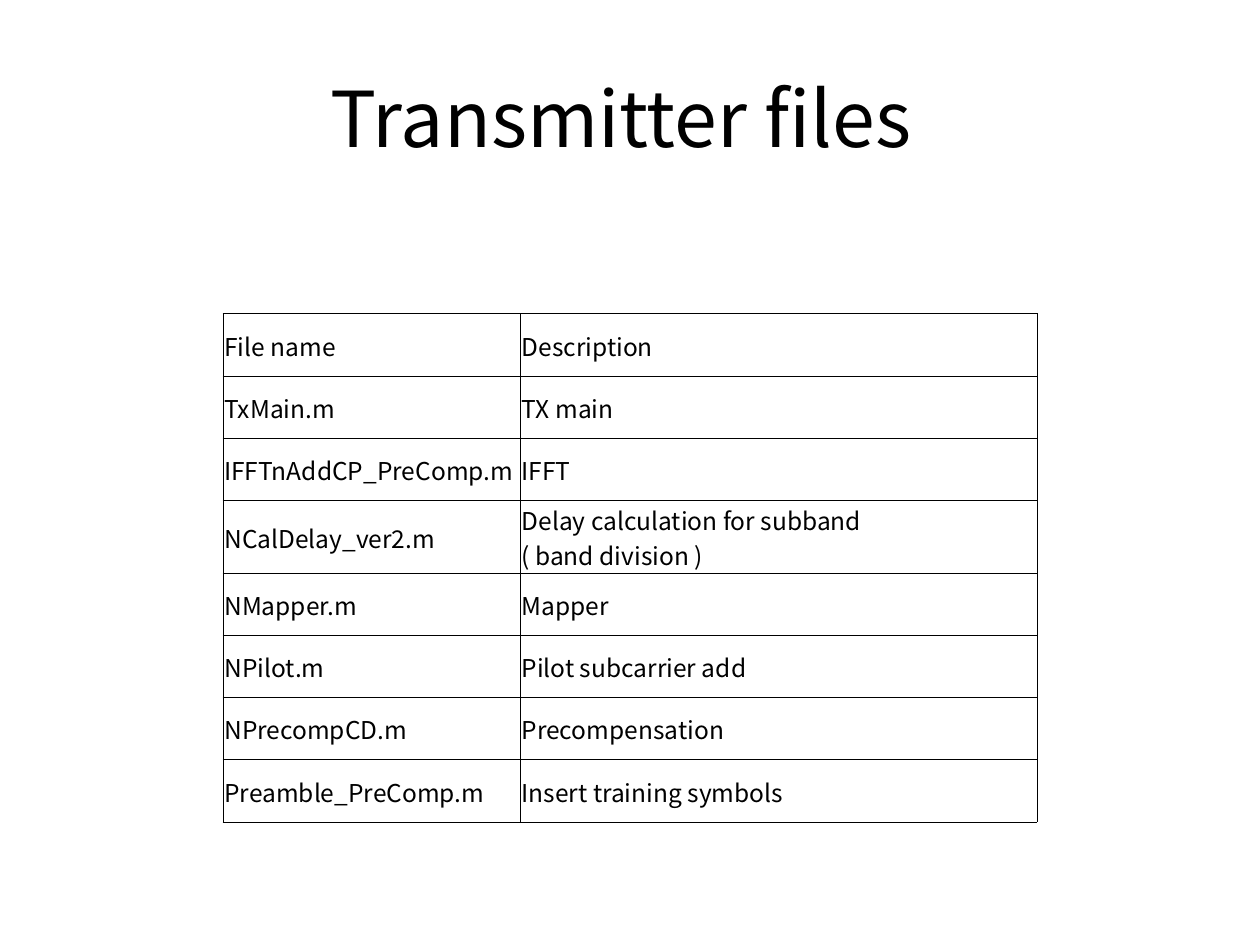
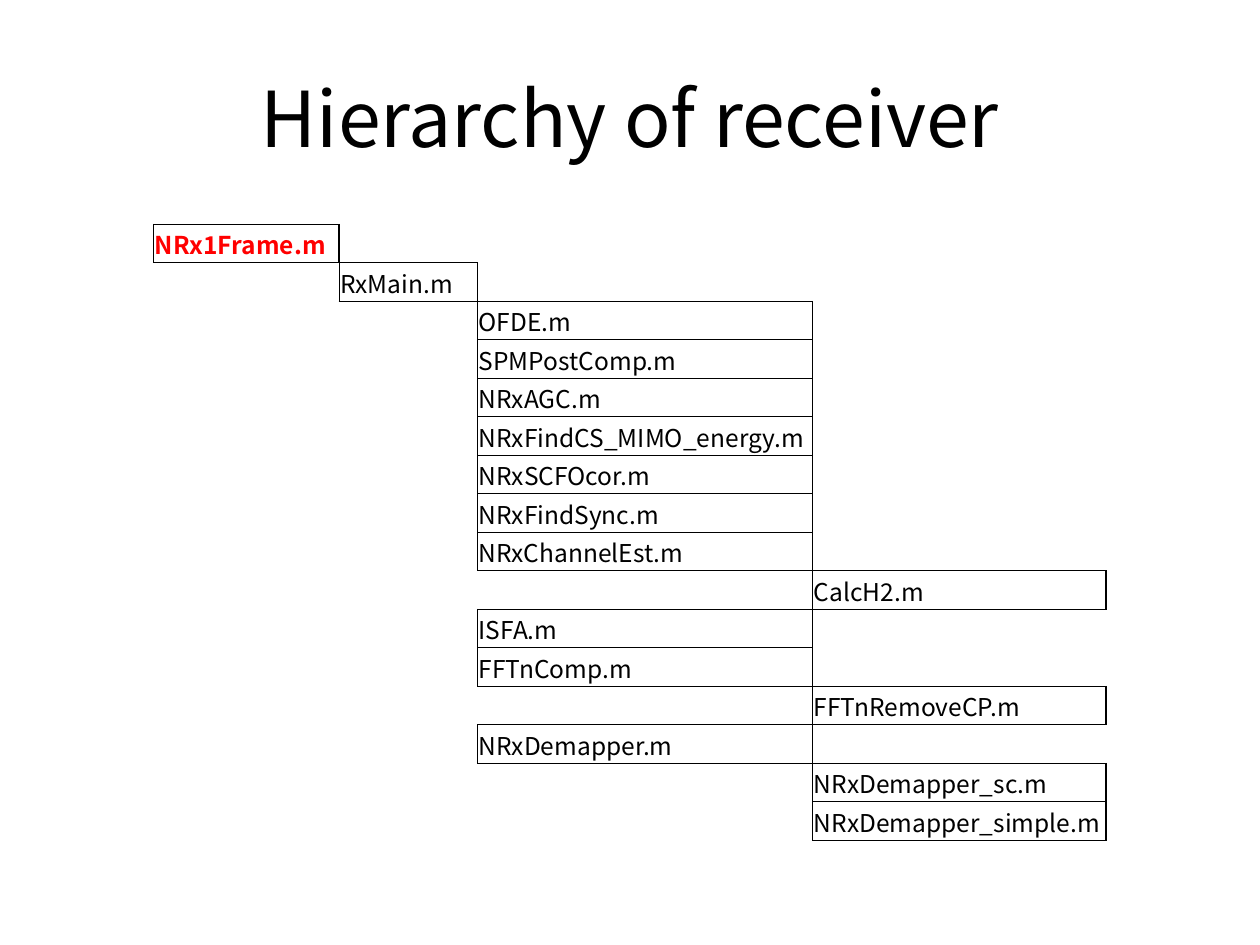
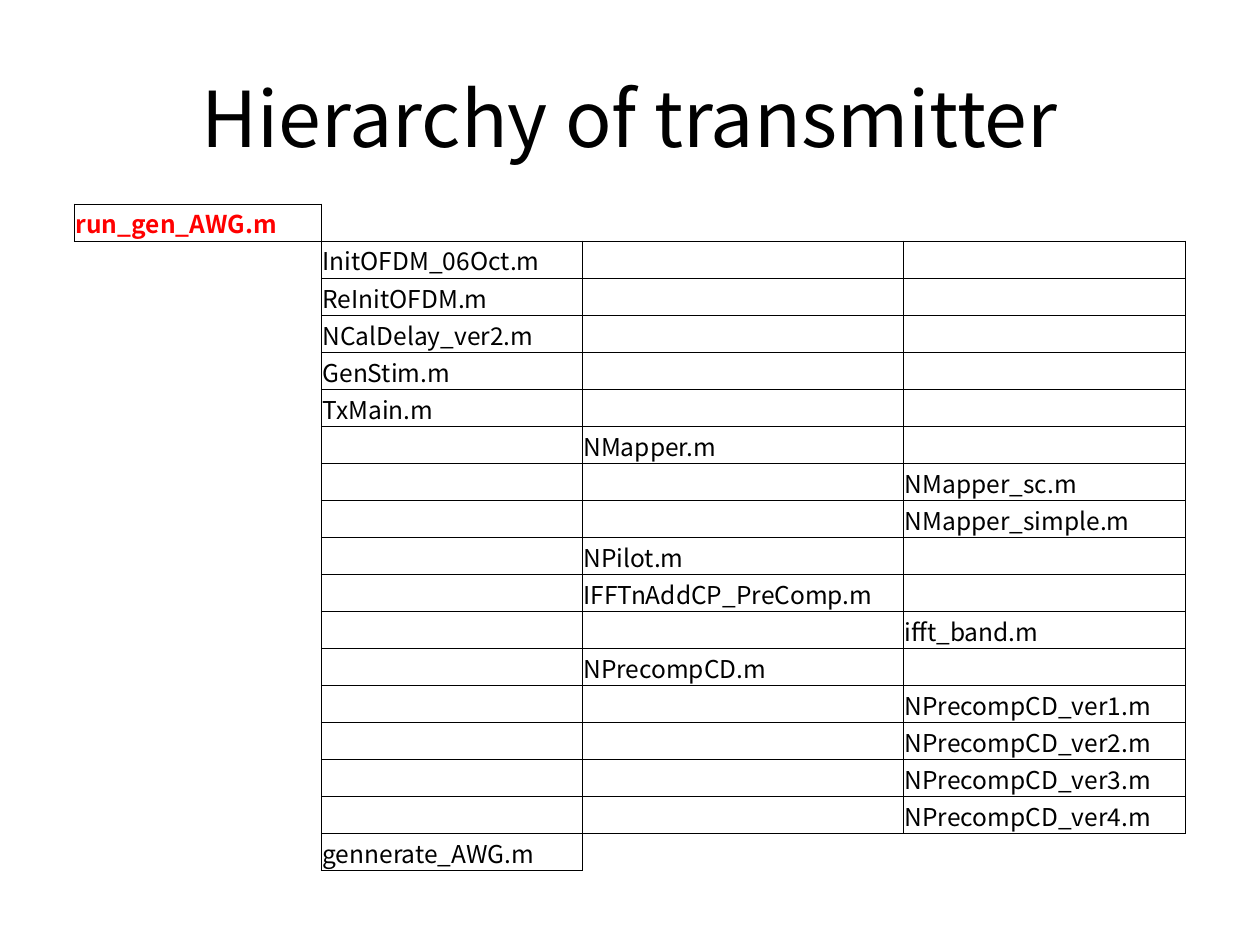
from dataclasses import dataclass

from lxml.etree import SubElement
from pptx import Presentation
from pptx.dml.color import RGBColor
from pptx.enum.text import MSO_ANCHOR as Anchor, PP_ALIGN as Align
from pptx.oxml.ns import qn
from pptx.slide import Slide
from pptx.table import _Cell as Cell
from pptx.text.text import _Paragraph as Paragraph
from pptx.util import Inches, Pt

COLORS = {"text": "000000", "border": "000000", "root": "FF0000"}
FONT = "Noto Sans CJK KR"
TITLE_SIZE, CELL_SIZE = 44, 14
SLIDE_WIDTH, SLIDE_HEIGHT = Inches(10), Inches(7.5)
TITLE_ONLY_LAYOUT = 5
THIN = 0.5
INSET = Inches(0.01)


@dataclass(frozen=True)
class Entry:
    """A file and its depth in the call hierarchy."""

    level: int
    file: str


@dataclass(frozen=True)
class FileTable:
    """A titled table, with its measures as shares of the slide's size."""

    title: str
    top: float
    height: float
    columns: tuple[float, ...]
    rows: list[list[str]]
    boxed: set[tuple[int, int]]
    right_border: float = THIN
    has_root: bool = False


def indent(entries: list[Entry], depth: int) -> list[list[str]]:
    """Place each file in the column of its level."""
    return [[e.file if e.level == column else "" for column in range(depth)] for e in entries]


def named_cells(rows: list[list[str]]) -> set[tuple[int, int]]:
    """Return the positions of the cells that hold text."""
    return {(r, c) for r, row in enumerate(rows) for c, text in enumerate(row) if text}


def level_entries(level: int, files: str) -> list[Entry]:
    """Make entries of one level from file names parted by spaces."""
    return [Entry(level, file) for file in files.split()]


def format_paragraph(paragraph: Paragraph, size: float, color: str, bold: bool = False) -> None:
    """Set the font of a whole paragraph."""
    font = paragraph.font
    font.name, font.size, font.bold = FONT, Pt(size), bold
    font.color.rgb = RGBColor.from_string(COLORS[color])


def add_title(slide: Slide, text: str) -> None:
    """Fill and place the title placeholder."""
    title = slide.shapes.title
    title.left, title.top = int(SLIDE_WIDTH * 0.05), int(SLIDE_HEIGHT * 0.04)
    title.width, title.height = int(SLIDE_WIDTH * 0.9), Inches(1.25)
    frame = title.text_frame
    frame.text = text
    frame.vertical_anchor = Anchor.MIDDLE
    frame.paragraphs[0].alignment = Align.CENTER
    format_paragraph(frame.paragraphs[0], TITLE_SIZE, "text")


def set_border(cell: Cell, side: str, width: float) -> None:
    """Draw one side of a cell, or clear it when the width is zero."""
    line = SubElement(cell._tc.get_or_add_tcPr(), qn(f"a:ln{side}"), w=str(Pt(width)))
    if not width:
        SubElement(line, qn("a:noFill"))
        return
    fill = SubElement(line, qn("a:solidFill"))
    SubElement(fill, qn("a:srgbClr"), val=COLORS["border"])


def edge_widths(content: FileTable, row: int, column: int) -> dict[str, float]:
    """Find the border widths of a cell from its own box and its neighbours'."""

    def is_boxed(down: int, across: int) -> bool:
        return (row + down, column + across) in content.boxed

    def upright(across: int) -> float:
        if is_boxed(0, across - 1):
            return content.right_border
        return THIN if is_boxed(0, across) else 0

    def level(down: int) -> float:
        return THIN if is_boxed(down - 1, 0) or is_boxed(down, 0) else 0

    return {"L": upright(0), "R": upright(1), "T": level(0), "B": level(1)}


def fill_cell(cell: Cell, text: str, color: str, bold: bool) -> None:
    """Write and format the text of a cell."""
    cell.fill.background()
    cell.vertical_anchor = Anchor.MIDDLE
    cell.margin_left = cell.margin_top = cell.margin_right = INSET
    cell.margin_bottom = 0
    cell.text = text
    for paragraph in cell.text_frame.paragraphs:
        format_paragraph(paragraph, CELL_SIZE, color, bold)
        if not text:
            SubElement(paragraph._p, qn("a:endParaRPr"), sz=str(CELL_SIZE * 100))


def add_file_table(slide: Slide, content: FileTable) -> None:
    """Draw a table centred across the slide."""
    widths = [int(SLIDE_WIDTH * share) for share in content.columns]
    height = int(SLIDE_HEIGHT * content.height)
    table = slide.shapes.add_table(
        len(content.rows), len(widths), (SLIDE_WIDTH - sum(widths)) // 2,
        int(SLIDE_HEIGHT * content.top), sum(widths), height,
    ).table
    table.first_row = table.horz_banding = False
    for column, width in zip(table.columns, widths):
        column.width = width
    for r, row in enumerate(content.rows):
        for c, text in enumerate(row):
            cell = table.cell(r, c)
            for side, width in edge_widths(content, r, c).items():
                set_border(cell, side, width)
            is_root = content.has_root and (r, c) == (0, 0)
            fill_cell(cell, text, "root" if is_root else "text", is_root)


TRANSMITTER_FILES = [
    ["File name", "Description"],
    ["TxMain.m", "TX main"],
    ["IFFTnAddCP_PreComp.m", "IFFT"],
    ["NCalDelay_ver2.m", "Delay calculation for subband\n( band division )"],
    ["NMapper.m", "Mapper"],
    ["NPilot.m", "Pilot subcarrier add"],
    ["NPrecompCD.m", "Precompensation"],
    ["Preamble_PreComp.m", "Insert training symbols"],
]

RECEIVER = indent([
    Entry(0, "NRx1Frame.m"),
    Entry(1, "RxMain.m"),
    *level_entries(2, "OFDE.m SPMPostComp.m NRxAGC.m NRxFindCS_MIMO_energy.m "
                      "NRxSCFOcor.m NRxFindSync.m NRxChannelEst.m"),
    Entry(3, "CalcH2.m"),
    *level_entries(2, "ISFA.m FFTnComp.m"),
    Entry(3, "FFTnRemoveCP.m"),
    Entry(2, "NRxDemapper.m"),
    *level_entries(3, "NRxDemapper_sc.m NRxDemapper_simple.m"),
], depth=4)

TRANSMITTER = indent([
    Entry(0, "run_gen_AWG.m"),
    *level_entries(1, "InitOFDM_06Oct.m ReInitOFDM.m NCalDelay_ver2.m GenStim.m TxMain.m"),
    Entry(2, "NMapper.m"),
    *level_entries(3, "NMapper_sc.m NMapper_simple.m"),
    *level_entries(2, "NPilot.m IFFTnAddCP_PreComp.m"),
    Entry(3, "ifft_band.m"),
    Entry(2, "NPrecompCD.m"),
    *level_entries(3, " ".join(f"NPrecompCD_ver{version}.m" for version in range(1, 5))),
    Entry(1, "gennerate_AWG.m"),
], depth=4)

TRANSMITTER_GRID = {(r, c) for r in range(1, len(TRANSMITTER) - 1) for c in range(1, 4)}

FILE_TABLES = [
    FileTable("Transmitter files ", 2.49 / 7.5, 3.95 / 7.5, (0.236, 0.41),
              TRANSMITTER_FILES, named_cells(TRANSMITTER_FILES)),
    FileTable("Hierarchy of receiver", 1.78 / 7.5, 4.89 / 7.5, (0.147, 0.11, 0.266, 0.233),
              RECEIVER, named_cells(RECEIVER), right_border=1, has_root=True),
    FileTable("Hierarchy of transmitter", 1.62 / 7.5, 5.2 / 7.5, (0.196, 0.207, 0.255, 0.224),
              TRANSMITTER, named_cells(TRANSMITTER) | TRANSMITTER_GRID, has_root=True),
]


def main() -> None:
    """Build the slides and save them."""
    deck = Presentation()
    deck.slide_width, deck.slide_height = SLIDE_WIDTH, SLIDE_HEIGHT
    for content in FILE_TABLES:
        slide = deck.slides.add_slide(deck.slide_layouts[TITLE_ONLY_LAYOUT])
        add_title(slide, content.title)
        add_file_table(slide, content)
    deck.save("out.pptx")


if __name__ == "__main__":
    main()
